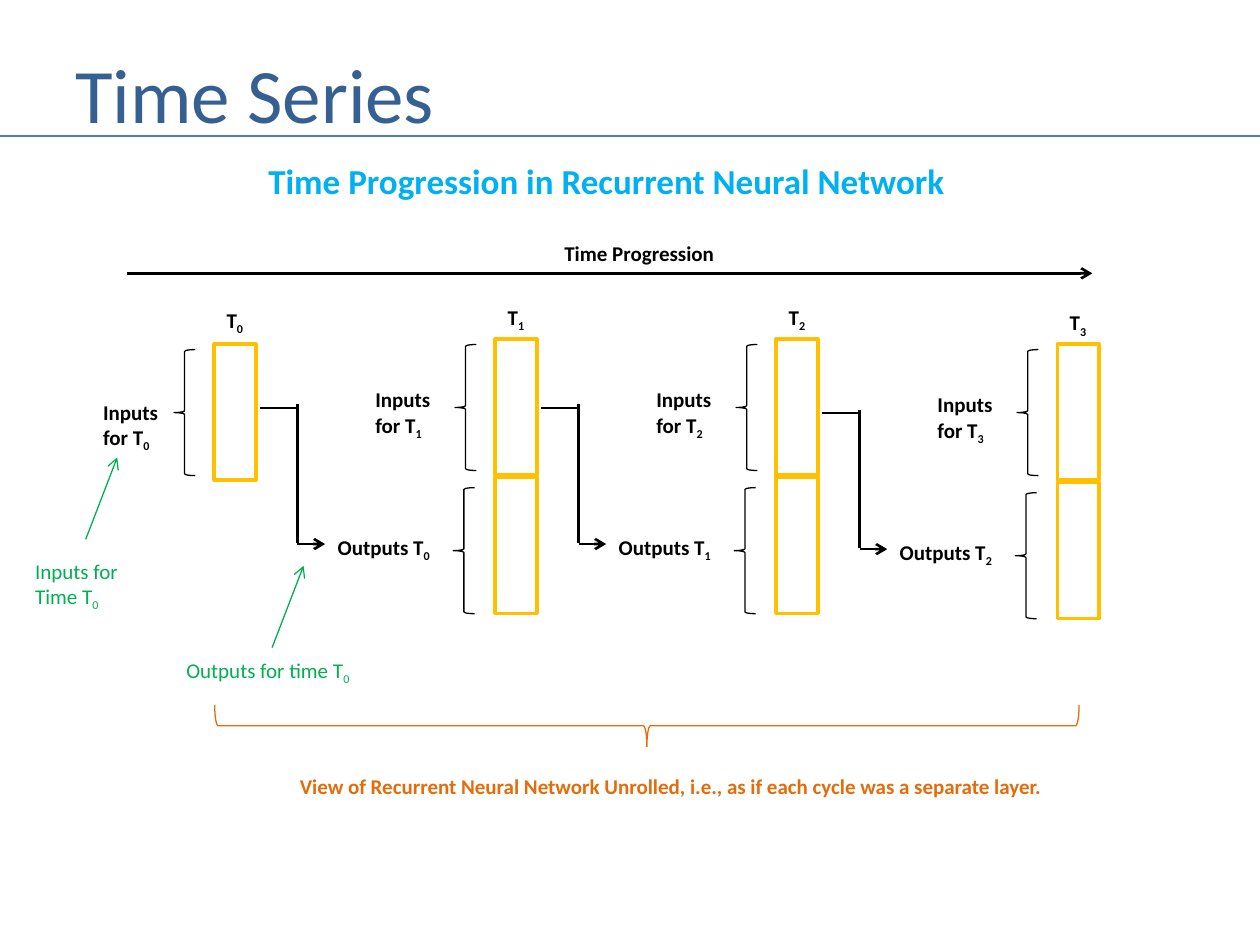
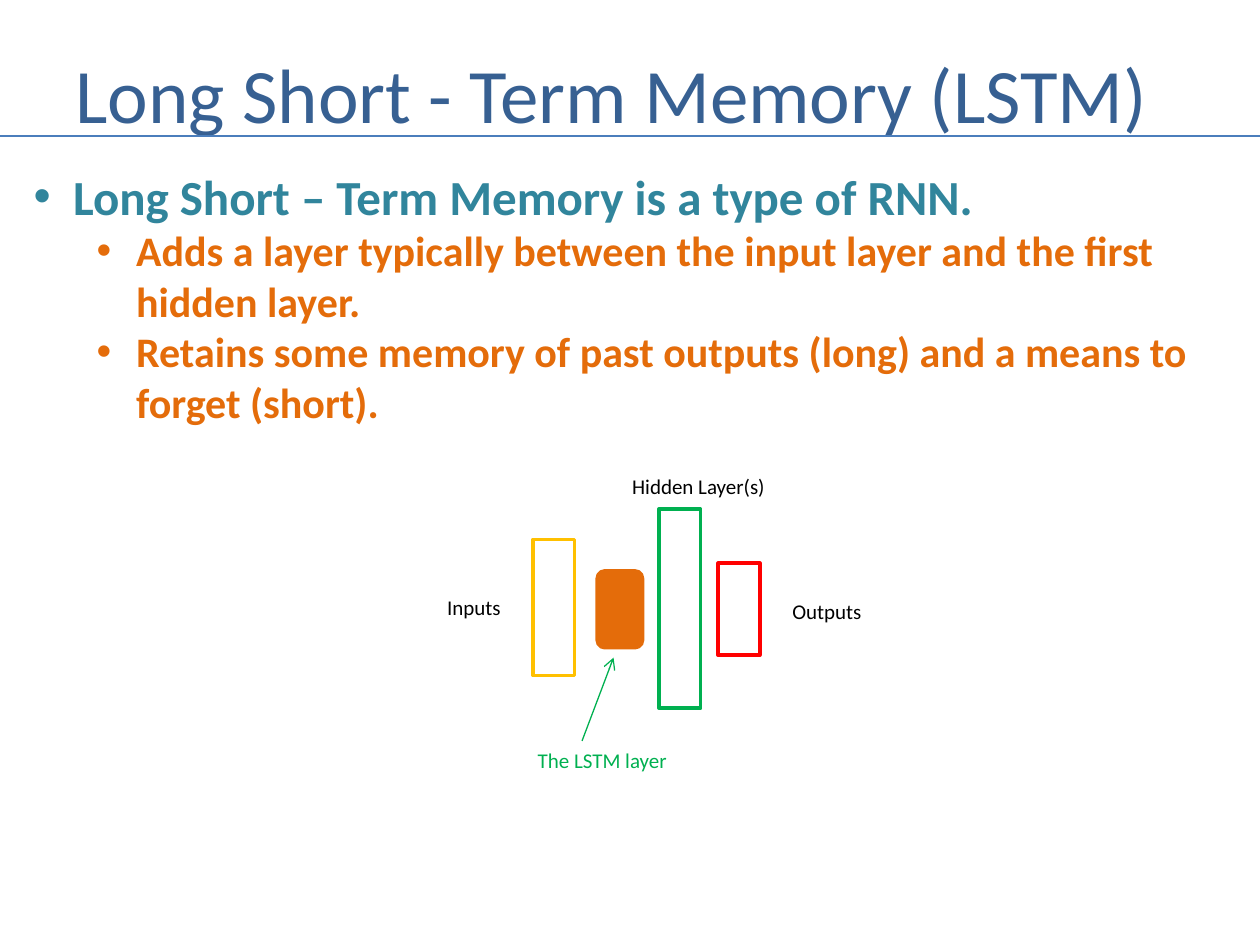
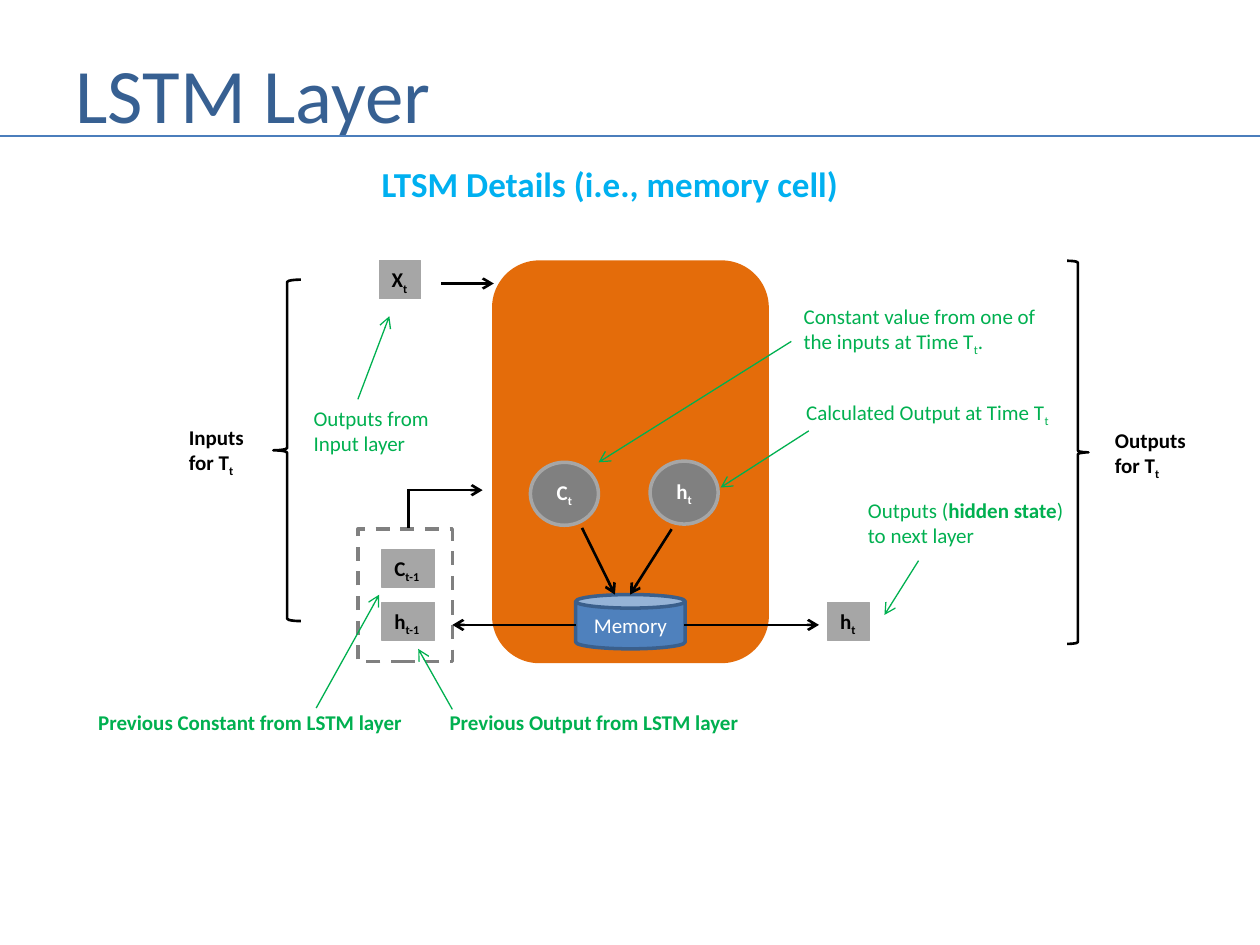
"""Build three slides on recurrent networks and the LSTM layer."""
import pptx
import pptx.util
import pptx.dml.color
import pptx.enum.dml
import pptx.enum.shapes
import pptx.enum.text
import pptx.oxml.ns
import pptx.oxml.xmlchemy

Pt = pptx.util.Pt
RGB = pptx.dml.color.RGBColor
Kind = pptx.enum.shapes.MSO_SHAPE
Anchor = pptx.enum.text.MSO_ANCHOR
Align = pptx.enum.text.PP_ALIGN
Fit = pptx.enum.text.MSO_AUTO_SIZE
qn = pptx.oxml.ns.qn
element = pptx.oxml.xmlchemy.OxmlElement

NAVY, RULE, SKY = RGB(55, 96, 146), RGB(75, 126, 188), RGB(0, 176, 240)
BLACK, WHITE, RED = RGB(0, 0, 0), RGB(255, 255, 255), RGB(255, 0, 0)
GREEN, GOLD, ORANGE = RGB(0, 176, 80), RGB(255, 192, 0), RGB(228, 108, 10)
TEAL, BLUE, STEEL = RGB(49, 133, 156), RGB(79, 129, 189), RGB(58, 95, 140)
SILVER, GREY = RGB(166, 166, 166), RGB(128, 128, 128)

FACE = "Calibri"
STYLES = {
    "title": (44, NAVY, False),
    "head": (20, SKY, True),
    "label": (12, BLACK, True),
    "plain": (12, BLACK, False),
    "note": (12, GREEN, False),
    "strong": (12, GREEN, True),
    "claim": (12, ORANGE, True),
    "light": (12, WHITE, False),
    "white": (12, WHITE, True),
    "point": (28, TEAL, True),
    "sub": (24, ORANGE, True),
}

WIDE = 23.8
HIGH = 77.8
FIRST, STEP = 122.4, 160.6
TOPS = [196.6, 193.7, 193.7, 196.6]
TAGS = [172.1, 170.6, 170.6, 173.5]

TIME_TEXT = [
    (146.2, 87.8, 403.9, "Time Progression in Recurrent Neural Network", "head"),
    (315.4, 133.9, 101.5, "Time Progression", "label"),
    (13, 315.4, 61.9, "Inputs for\nTime T~0~", "note"),
    (99.4, 372.2, 111.6, "Outputs for time T~0~", "note"),
    (164.2, 438.5, 440.6, "View of Recurrent Neural Network Unrolled, i.e., "
     "as if each cycle was a separate layer.", "claim"),
]
TIME_LINES = [
    (72.7, 156.2, 624.2, 156.2, BLACK, 1.5, True),
    (49, 308.2, 67, 261.4, GREEN, 0.75, True),
    (155.5, 370.1, 173.5, 323.3, GREEN, 0.75, True),
]

POINTS = [
    ("Long Short – Term Memory is a type of RNN.", "point", 22.5, True),
    ("Adds a layer typically between the input layer and the first",
     "sub", 58.5, True),
    ("hidden layer.", "sub", 58.5, False),
    ("Retains some memory of past outputs (long) and a means to",
     "sub", 58.5, True),
    ("forget (short).", "sub", 58.5, False),
]
NET_BOXES = [
    (Kind.RECTANGLE, (304.6, 308.2, WIDE, HIGH), None, GOLD, 2),
    (Kind.RECTANGLE, (376.6, 290.9, WIDE, 113.8), None, GREEN, 2),
    (Kind.RECTANGLE, (410.4, 321.8, WIDE, 52.6), None, RED, 2),
    (Kind.ROUNDED_RECTANGLE, (341.3, 326.2, 25.9, 43.9), ORANGE, ORANGE, 2),
]
NET_TEXT = [
    (248.4, 336.2, 45.4, "Inputs", "plain"),
    (445.7, 338.4, 54.7, "Outputs", "plain"),
    (354.2, 267.1, 90.7, "Hidden Layer(s)", "plain"),
    (300.2, 423.4, 89.3, "The LSTM layer", "note"),
]
NET_LINES = [(332.6, 423.4, 350.6, 375.8, GREEN, 0.75, True)]

CELL_BOXES = [
    (Kind.ROUNDED_RECTANGLE, (282.2, 149.8, 156.2, 228.2), ORANGE, ORANGE, 2),
    (Kind.LEFT_BRACE, (156.2, 159.8, 15.8, 195.1), None, BLACK, 1.5),
    (Kind.LEFT_BRACE, (609.8, 149, 12.2, 218.9), None, BLACK, 1.5, 180),
]
CELL_NODES = [
    (Kind.RECTANGLE, (216.7, 149, WIDE, 21.8), SILVER, SILVER, 0.75,
     "X~t~", "label"),
    (Kind.RECTANGLE, (473, 344.2, WIDE, 21.8), SILVER, SILVER, 0.75,
     "h~t~", "label"),
    (Kind.RECTANGLE, (218.2, 313.9, 30.2, 21.8), SILVER, SILVER, 0.75,
     "C~t-1~", "label"),
    (Kind.RECTANGLE, (218.2, 344.2, 30.2, 21.8), SILVER, SILVER, 0.75,
     "h~t-1~", "label"),
    (Kind.CAN, (329, 339.8, 62.6, 31), BLUE, STEEL, 2, "Memory", "light"),
    (Kind.OVAL, (371.5, 263.5, 38.9, 36), GREY, SILVER, 2, "h~t~", "white"),
    (Kind.OVAL, (303.1, 264.2, 38.9, 36), GREY, SILVER, 2, "C~t~", "white"),
]
CELL_TEXT = [
    (211, 89.3, 277.2, "LTSM Details (i.e., memory cell)", "head"),
    (172.1, 228.2, 80.6, "Outputs from\nInput layer", "note"),
    (488.9, 280.8, 127.4, "Outputs (*hidden state*)\nto next layer", "note"),
    (453.6, 224.6, 156.2, "Calculated Output at Time T~t~", "note"),
    (452.2, 169.9, 148.3,
     "Constant value from one of\nthe inputs at Time T~t~.", "note"),
    (249.8, 401.8, 181.4, "Previous Output from LSTM layer", "strong"),
    (49, 401.8, 190.1, "Previous Constant from LSTM layer", "strong"),
    (100.8, 239, 46.8, "Inputs\nfor T~t~", "label"),
    (630, 240.5, 55.4, "Outputs\nfor T~t~", "label"),
]
CELL_LINES = [
    (252, 162, 282.2, 162, BLACK, 1.5, True),
    (391, 357.1, 468, 357.1, BLACK, 1.5, True),
    (329, 357.1, 258.5, 357.1, BLACK, 1.5, True),
    (383.8, 302.4, 360, 339.8, BLACK, 1.5, True),
    (332.6, 301.7, 351.4, 339.8, BLACK, 1.5, True),
    (233.3, 279.4, 233.3, 301.7, BLACK, 1.5, False),
    (233.3, 280.1, 275.8, 280.1, BLACK, 1.5, True),
    (204.5, 228.2, 222.5, 180.7, GREEN, 0.75, True),
    (524.9, 320.4, 505.4, 351.4, GREEN, 0.75, True),
    (462.2, 246.2, 411.8, 278.6, GREEN, 0.75, True),
    (452.2, 195.1, 342, 264.2, GREEN, 0.75, True),
    (258.5, 405.4, 239, 370.8, GREEN, 0.75, True),
    (180.7, 404.6, 216.7, 339.8, GREEN, 0.75, True),
]


def assign(target, values):
    for key, value in values.items():
        setattr(target, key, value)


def write(para, text, style):
    size, color, bold = STYLES[style]
    for i, chunk in enumerate(text.split("*")):
        for j, bit in enumerate(chunk.split("~")):
            if not bit:
                continue
            run = para.add_run()
            run.text = bit
            assign(run.font, {"name": FACE, "size": Pt(size),
                              "bold": bold or i % 2 == 1})
            run.font.color.rgb = color
            if j % 2:
                run.font._element.set("baseline", "-25000")


def fill_text(frame, text, style, align=Align.LEFT):
    for i, line in enumerate(text.split("\n")):
        para = frame.add_paragraph() if i else frame.paragraphs[0]
        para.alignment = align
        write(para, line, style)


def frame_at(slide, x, y, wide, high):
    frame = slide.shapes.add_textbox(Pt(x), Pt(y), Pt(wide), Pt(high)).text_frame
    assign(frame, {"word_wrap": False, "auto_size": Fit.SHAPE_TO_FIT_TEXT})
    return frame


def label(slide, x, y, wide, text, style):
    lines = text.count("\n") + 1
    high = 7.2 + 1.22 * STYLES[style][0] * lines
    fill_text(frame_at(slide, x, y, wide, high), text, style)


def box(slide, kind, at, fill, edge, width, turn=0):
    shape = slide.shapes.add_shape(kind, *map(Pt, at))
    shape.shadow.inherit = False
    shape.rotation = turn
    if fill is None:
        shape.fill.background()
    else:
        shape.fill.solid()
        shape.fill.fore_color.rgb = fill
    shape.line.color.rgb = edge
    shape.line.width = Pt(width)
    return shape


def node(slide, kind, at, fill, edge, width, text, style):
    frame = box(slide, kind, at, fill, edge, width).text_frame
    flat = kind == Kind.RECTANGLE
    assign(frame, {"word_wrap": not flat,
                   "vertical_anchor": Anchor.TOP if flat else Anchor.MIDDLE})
    fill_text(frame, text, style, Align.LEFT if flat else Align.CENTER)


def line(slide, x1, y1, x2, y2, color, width, arrow):
    link = slide.shapes.add_connector(
        pptx.enum.shapes.MSO_CONNECTOR.STRAIGHT, *map(Pt, (x1, y1, x2, y2)))
    link.line.color.rgb = color
    link.line.width = Pt(width)
    props = link._element.spPr
    if arrow:
        tail = element("a:tailEnd")
        tail.set("type", "arrow")
        props.find(qn("a:ln")).append(tail)
    props.append(element("a:effectLst"))


def each(draw, slide, rows):
    for row in rows:
        draw(slide, *row)


def start(deck, title):
    slide = deck.slides.add_slide(deck.slide_layouts[6])
    frame = frame_at(slide, 36, 21.6, 653.8, 62.6)
    assign(frame, {"word_wrap": True, "auto_size": Fit.NONE,
                   "vertical_anchor": Anchor.MIDDLE})
    fill_text(frame, title, "title")
    line(slide, 0, 77.8, 720, 77.8, RULE, 1.5, False)
    return slide


def column(slide, i):
    x, top = FIRST + STEP * i, TOPS[i]
    label(slide, x, TAGS[i], 24.5, f"T~{i}~", "label")
    dx, dy = (75.6, 23.8) if i else (70.6, 28.1)
    label(slide, x - dx, top + dy, 46.8, f"Inputs\nfor T~{i}~", "label")
    box(slide, Kind.RECTANGLE, (x, top, WIDE, HIGH), None, GOLD, 2)
    box(slide, Kind.LEFT_BRACE, (x - 23, top + 3.2, 12.2, 72), None, BLACK, 0.75)
    if i:
        box(slide, Kind.RECTANGLE, (x, top + 79, WIDE, HIGH), None, GOLD, 2)
        box(slide, Kind.LEFT_BRACE, (x - 24, top + 85, 12.2, 72),
            None, BLACK, 0.75)
        label(slide, x - 97.2, top + 108, 73.4, f"Outputs T~{i - 1}~", "label")
        bend = x - 113
        each(line, slide, [
            (bend - 21.6, top + 39.4, bend, top + 39.4, BLACK, 1.5, False),
            (bend, top + 116.6, bend, top + 37.4, BLACK, 1.5, False),
            (bend, top + 117.2, x - 97.2, top + 117.2, BLACK, 1.5, True),
        ])


def bullets(slide):
    frame = frame_at(slide, 12.2, 91.4, 685.4, 158.4)
    for i, (text, style, left, dot) in enumerate(POINTS):
        para = frame.add_paragraph() if i else frame.paragraphs[0]
        para.level = int(style == "sub")
        write(para, text, style)
        props = para._p.get_or_add_pPr()
        props.set("marL", str(Pt(left)))
        props.set("indent", str(Pt(-22.5 if dot else 0)))
        mark = element("a:buChar" if dot else "a:buNone")
        if dot:
            font = element("a:buFont")
            font.set("typeface", "Arial")
            props.append(font)
            mark.set("char", "•")
        props.append(mark)


def main():
    deck = pptx.Presentation()
    assign(deck, {"slide_width": Pt(720), "slide_height": Pt(540)})

    slide = start(deck, "Time Series")
    for i in range(len(TOPS)):
        column(slide, i)
    box(slide, Kind.LEFT_BRACE, (357.8, 167.8, WIDE, 493.9),
        None, ORANGE, 0.75, 270)
    each(line, slide, TIME_LINES)
    each(label, slide, TIME_TEXT)

    slide = start(deck, "Long Short - Term Memory (LSTM)")
    bullets(slide)
    each(box, slide, NET_BOXES)
    each(line, slide, NET_LINES)
    each(label, slide, NET_TEXT)

    slide = start(deck, "LSTM Layer")
    each(box, slide, CELL_BOXES)
    each(node, slide, CELL_NODES)
    group = box(slide, Kind.RECTANGLE, (204.5, 302.4, 54, 75.6), None, GREY, 2)
    group.line.dash_style = pptx.enum.dml.MSO_LINE.DASH
    each(line, slide, CELL_LINES)
    each(label, slide, CELL_TEXT)

    deck.save("out.pptx")


main()
